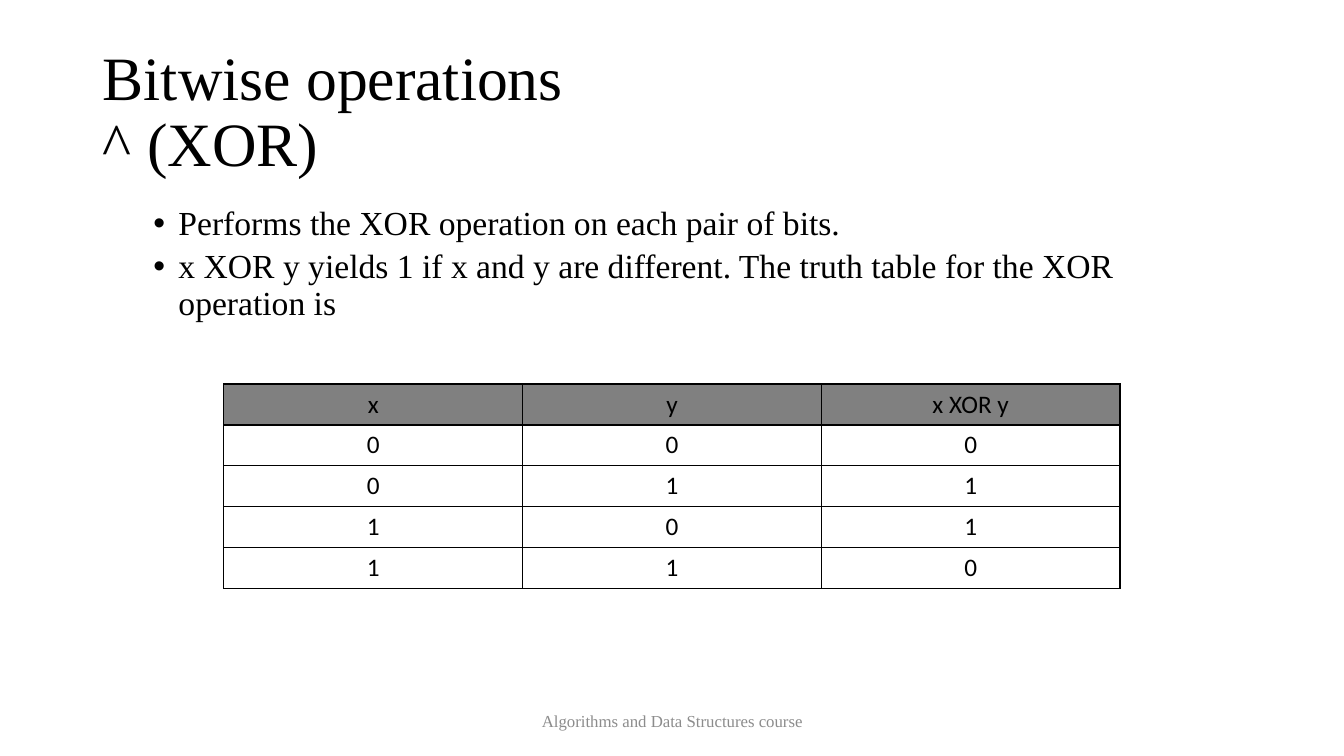
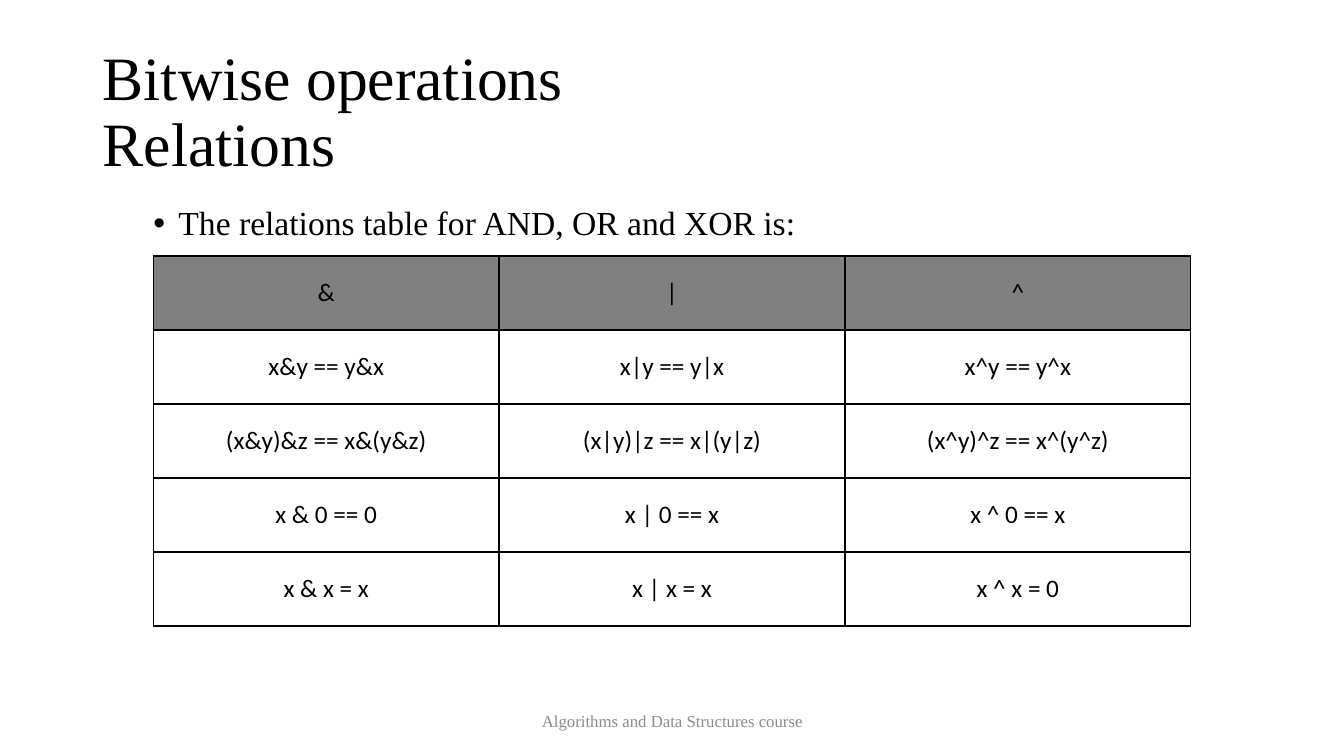
"""Build two slides on bitwise operations, each with bullets and a table."""
from dataclasses import dataclass

import lxml.etree
import pptx
import pptx.dml.color
import pptx.enum.text
import pptx.oxml.ns
import pptx.util

Inches = pptx.util.Inches
Pt = pptx.util.Pt
Align = pptx.enum.text.PP_ALIGN
Anchor = pptx.enum.text.MSO_ANCHOR

COLORS = {"text": "000000", "footer": "8C8C8C", "header": "808080", "border": "000000"}
SERIF = "Times New Roman"
SANS = "Calibri"
FOOTER = "Algorithms and Data Structures course"


@dataclass(frozen=True)
class Box:
    left: float
    top: float
    width: float
    height: float


@dataclass(frozen=True)
class Grid:
    box: Box
    rows: tuple[tuple[str, ...], ...]
    anchor: Anchor


@dataclass(frozen=True)
class Topic:
    title: str
    bullets: tuple[str, ...]
    grid: Grid


TITLE_BOX = Box(0.92, 0.4, 11.5, 1.45)
BODY_BOX = Box(0.92, 2, 11.5, 4.76)
FOOTER_BOX = Box(4.42, 6.95, 4.5, 0.4)

TOPICS = (
    Topic(
        "Bitwise operations\v^ (XOR)",
        (
            "Performs the XOR operation on each pair of bits.",
            "x XOR y yields 1 if x and y are different. The truth table for the XOR operation is",
        ),
        Grid(
            Box(2.22, 3.81, 8.89, 2.03),
            (
                ("x", "y", "x XOR y"),
                ("0", "0", "0"),
                ("0", "1", "1"),
                ("1", "0", "1"),
                ("1", "1", "0"),
            ),
            Anchor.TOP,
        ),
    ),
    Topic(
        "Bitwise operations\vRelations",
        ("The relations table for AND, OR and XOR is:",),
        Grid(
            Box(1.52, 2.54, 10.29, 3.67),
            (
                ("&", "|", "^"),
                ("x&y == y&x", "x|y == y|x", "x^y == y^x"),
                ("(x&y)&z == x&(y&z)", "(x|y)|z == x|(y|z)", "(x^y)^z == x^(y^z)"),
                ("x & 0 == 0", "x | 0 == x", "x ^ 0 == x"),
                ("x & x = x", "x | x = x", "x ^ x = 0"),
            ),
            Anchor.MIDDLE,
        ),
    ),
)


def rgb(name: str) -> pptx.dml.color.RGBColor:
    return pptx.dml.color.RGBColor.from_string(COLORS[name])


def place(shape, box: Box) -> None:
    shape.left, shape.top = Inches(box.left), Inches(box.top)
    shape.width, shape.height = Inches(box.width), Inches(box.height)


def format_text(frame, size: float, font: str, color: str, align: Align) -> None:
    for para in frame.paragraphs:
        para.alignment = align
        for span in para.runs:
            span.font.size = Pt(size)
            span.font.name = font
            span.font.bold = False
            span.font.color.rgb = rgb(color)


def add_child(parent, tag: str, **attributes: str):
    return lxml.etree.SubElement(parent, pptx.oxml.ns.qn(tag), attributes)


def set_bullet(para) -> None:
    para.level = 1
    para.line_spacing = 0.9
    para.space_before = Pt(5)
    properties = para._p.get_or_add_pPr()
    properties.set("marL", str(Inches(0.75)))
    properties.set("indent", str(Inches(-0.25)))
    add_child(properties, "a:buFont", typeface="Arial")
    add_child(properties, "a:buChar", char="•")


def set_borders(cell) -> None:
    properties = cell._tc.get_or_add_tcPr()
    for side in ("L", "R", "T", "B"):
        line = add_child(properties, f"a:ln{side}", w=str(Pt(1)))
        fill = add_child(line, "a:solidFill")
        add_child(fill, "a:srgbClr", val=COLORS["border"])


def add_title(page, text: str) -> None:
    title = page.shapes.title
    place(title, TITLE_BOX)
    frame = title.text_frame
    frame.text = text
    frame.auto_size = pptx.enum.text.MSO_AUTO_SIZE.NONE
    frame.vertical_anchor = Anchor.MIDDLE
    frame.paragraphs[0].line_spacing = 0.9
    format_text(frame, 44, SERIF, "text", Align.LEFT)


def add_bullets(page, bullets: tuple[str, ...]) -> None:
    body = page.placeholders[1]
    place(body, BODY_BOX)
    frame = body.text_frame
    frame.text = "\n".join(bullets)
    frame.auto_size = pptx.enum.text.MSO_AUTO_SIZE.NONE
    for para in frame.paragraphs:
        set_bullet(para)
    format_text(frame, 24, SERIF, "text", Align.LEFT)


def add_footer(page) -> None:
    footer = page.shapes.add_textbox(0, 0, 0, 0)
    place(footer, FOOTER_BOX)
    frame = footer.text_frame
    frame.word_wrap = True
    frame.text = FOOTER
    frame.vertical_anchor = Anchor.MIDDLE
    format_text(frame, 12, SERIF, "footer", Align.CENTER)


def add_grid(page, grid: Grid) -> None:
    box = grid.box
    table = page.shapes.add_table(
        len(grid.rows), len(grid.rows[0]),
        Inches(box.left), Inches(box.top), Inches(box.width), Inches(box.height),
    ).table
    table.first_row = False
    table.horz_banding = False
    for row_index, row in enumerate(grid.rows):
        for column_index, text in enumerate(row):
            cell = table.cell(row_index, column_index)
            cell.text_frame.text = text
            cell.vertical_anchor = grid.anchor
            format_text(cell.text_frame, 18, SANS, "text", Align.CENTER)
            set_borders(cell)
            if row_index == 0:
                cell.fill.solid()
                cell.fill.fore_color.rgb = rgb("header")
            else:
                cell.fill.background()


def main() -> None:
    deck = pptx.Presentation()
    deck.slide_width, deck.slide_height = Inches(13.33), Inches(7.5)
    for topic in TOPICS:
        page = deck.slides.add_slide(deck.slide_layouts[1])
        add_title(page, topic.title)
        add_bullets(page, topic.bullets)
        add_footer(page)
        add_grid(page, topic.grid)
    deck.save("out.pptx")


if __name__ == "__main__":
    main()
